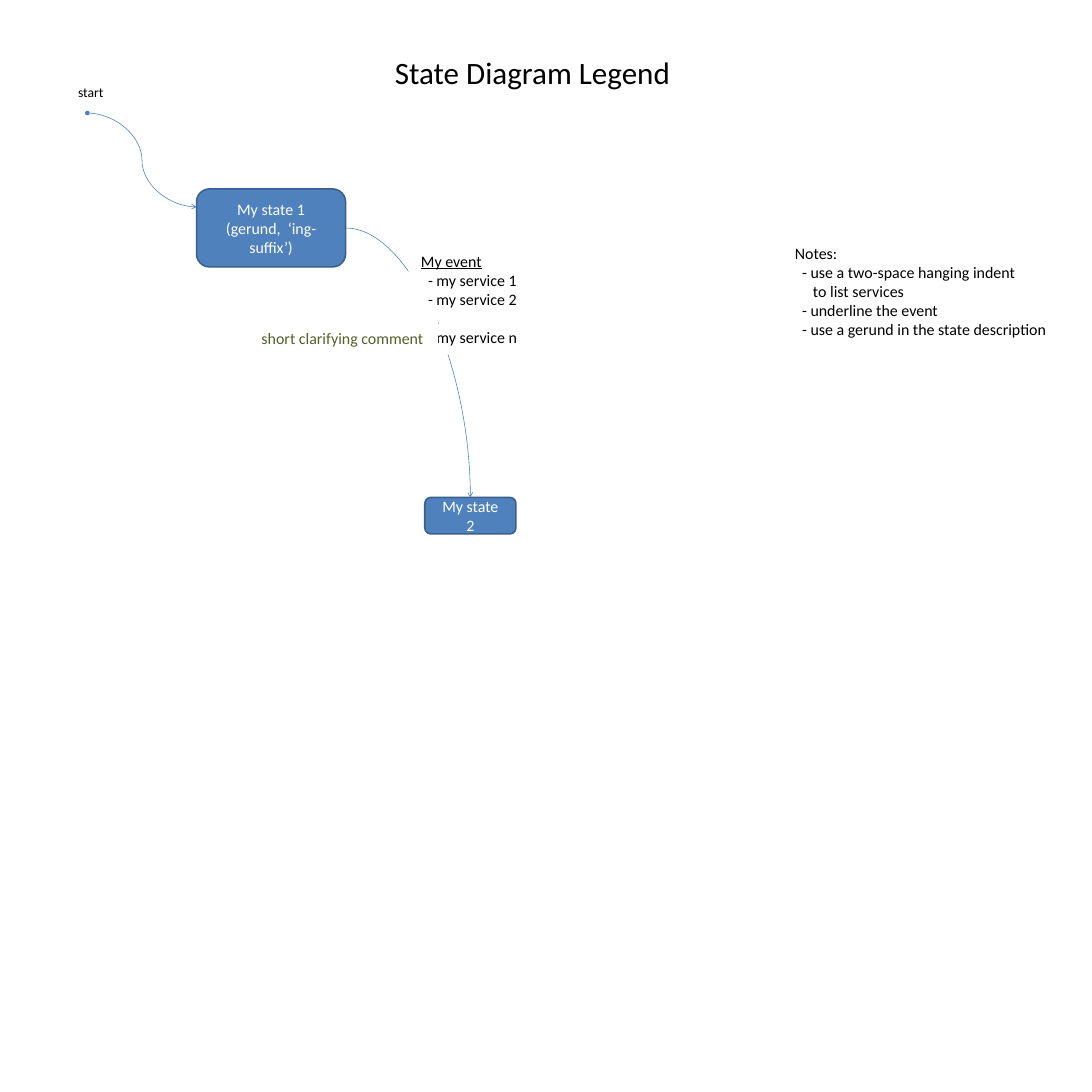
from dataclasses import dataclass
from typing import Any, Optional

from lxml.etree import SubElement
from pptx import Presentation
from pptx.dml.color import RGBColor
from pptx.enum.shapes import MSO_CONNECTOR, MSO_SHAPE
from pptx.enum.text import MSO_ANCHOR, MSO_AUTO_SIZE, PP_ALIGN
from pptx.oxml.ns import qn
from pptx.util import Inches, Pt

COLORS = {
    "text": "000000",
    "paper": "FFFFFF",
    "state": "4F81BD",
    "state_edge": "3A5F8C",
    "transition": "4B7EBC",
    "comment": "4F6228",
}
BODY_SIZE = 21
ITEM_INDENT = 0.13
CONTINUED_INDENT = 0.33
STATE_RIGHT, STATE_TOP = 3, 0


@dataclass(frozen=True)
class Line:
    text: str
    indent: float = 0
    underline: bool = False


@dataclass(frozen=True)
class Block:
    box: tuple[float, float, float, float]
    lines: tuple[Line, ...]
    size: int = BODY_SIZE
    color: str = "text"
    filled: bool = True


@dataclass(frozen=True)
class State:
    box: tuple[float, float, float, float]
    lines: tuple[Line, ...]


@dataclass(frozen=True)
class Transition:
    start: tuple[float, float]
    end: tuple[float, float]
    geometry: str
    ends: dict[str, str]


def rgb(name: str) -> RGBColor:
    return RGBColor.from_string(COLORS[name])


def apply(target: Any, values: dict[str, Any]) -> None:
    for attribute, value in values.items():
        setattr(target, attribute, value)


def write(shape: Any, lines: tuple[Line, ...], size: int, color: str,
          align: Optional[PP_ALIGN], frame_format: dict[str, Any]) -> None:
    frame = shape.text_frame
    apply(frame, {
        "margin_left": Inches(0.23), "margin_right": Inches(0.23),
        "margin_top": Inches(0.11), "margin_bottom": Inches(0.11),
        **frame_format,
    })
    for index, line in enumerate(lines):
        paragraph = frame.add_paragraph() if index else frame.paragraphs[0]
        paragraph.alignment = align
        if line.indent:
            paragraph._p.get_or_add_pPr().set("marL", str(Inches(line.indent)))
        run = paragraph.add_run()
        run.text = line.text
        apply(run.font, {"name": "Calibri", "size": Pt(size), "underline": line.underline})
        run.font.color.rgb = rgb(color)


def draw_block(shapes: Any, block: Block) -> None:
    box = map(Inches, block.box)
    if block.filled:
        shape = shapes.add_shape(MSO_SHAPE.RECTANGLE, *box)
        shape.shadow.inherit = False
        shape.fill.solid()
        shape.fill.fore_color.rgb = rgb("paper")
        shape.line.fill.background()
    else:
        shape = shapes.add_textbox(*box)
    write(shape, block.lines, block.size, block.color, PP_ALIGN.LEFT, {
        "word_wrap": False,
        "auto_size": MSO_AUTO_SIZE.SHAPE_TO_FIT_TEXT,
        "vertical_anchor": MSO_ANCHOR.TOP,
    })


def draw_state(shapes: Any, state: State) -> Any:
    shape = shapes.add_shape(MSO_SHAPE.ROUNDED_RECTANGLE, *map(Inches, state.box))
    shape.shadow.inherit = False
    shape.fill.solid()
    shape.fill.fore_color.rgb = rgb("state")
    shape.line.color.rgb = rgb("state_edge")
    shape.line.width = Pt(2)
    write(shape, state.lines, BODY_SIZE, "paper", PP_ALIGN.CENTER, {
        "word_wrap": True, "vertical_anchor": MSO_ANCHOR.MIDDLE,
    })
    return shape


def draw_transition(shapes: Any, transition: Transition) -> Any:
    connector = shapes.add_connector(
        MSO_CONNECTOR.CURVE, *map(Inches, transition.start + transition.end))
    connector.line.color.rgb = rgb("transition")
    connector.line.width = Pt(0.75)
    properties = connector._element.spPr
    properties.find(qn("a:prstGeom")).set("prst", transition.geometry)
    outline = properties.find(qn("a:ln"))
    for tag, kind in transition.ends.items():
        SubElement(outline, qn(tag)).set("type", kind)
    SubElement(properties, qn("a:effectLst"))
    return connector


TITLE = Block((7, 0.87, 5.55, 0.92), (Line("State Diagram Legend"),), size=41, filled=False)
START = Block((1.2, 1.43, 0.93, 0.53), (Line("start"),), size=18, filled=False)
STATE_1 = State((3.6, 3.46, 2.73, 1.43),
                (Line("My state 1"), Line("(gerund,  ‘ing-suffix’)")))
STATE_2 = State((7.78, 9.11, 1.67, 0.67), (Line("My state 2"),))
ENTRY = Transition((1.6, 2.07), (3.6, 3.79), "curvedConnector3",
                   {"a:headEnd": "oval", "a:tailEnd": "arrow"})
EVENT_PATH = Transition((6.33, 4.17), (8.61, 9.11), "curvedConnector2",
                        {"a:tailEnd": "arrow"})
EVENT = Block((7.48, 4.49, 2.24, 2), (
    Line("My event", underline=True),
    Line("- my service 1", ITEM_INDENT),
    Line("- my service 2", ITEM_INDENT),
    Line("…", ITEM_INDENT),
    Line("- my service n", ITEM_INDENT),
))
NOTES = Block((14.33, 4.35, 5.11, 2), (
    Line("Notes:"),
    Line("- use a two-space hanging indent", ITEM_INDENT),
    Line("to list services", CONTINUED_INDENT),
    Line("- underline the event", ITEM_INDENT),
    Line("- use a gerund in the state description", ITEM_INDENT),
))
COMMENT = Block((4.56, 5.9, 3.46, 0.58), (Line("short clarifying comment"),), color="comment")

presentation = Presentation()
apply(presentation, {"slide_width": Inches(20), "slide_height": Inches(20)})
legend = presentation.slides.add_slide(presentation.slide_layouts[6]).shapes

draw_block(legend, TITLE)
draw_transition(legend, ENTRY)
second_state = draw_state(legend, STATE_2)
draw_block(legend, START)
first_state = draw_state(legend, STATE_1)
event_path = draw_transition(legend, EVENT_PATH)
event_path.begin_connect(first_state, STATE_RIGHT)
event_path.end_connect(second_state, STATE_TOP)
for block in (EVENT, NOTES, COMMENT):
    draw_block(legend, block)

presentation.save("out.pptx")
